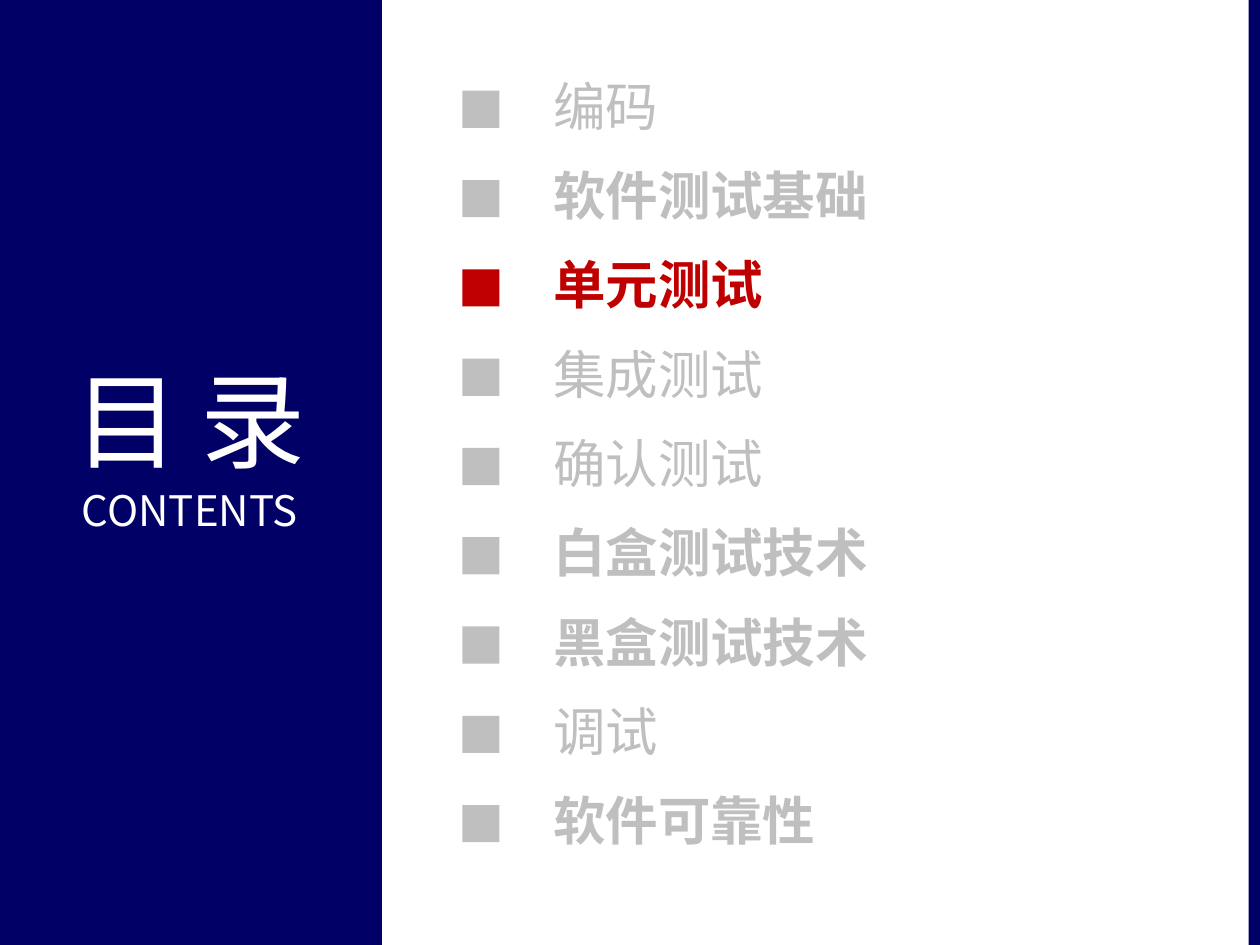
from pptx import Presentation
from pptx.dml.color import RGBColor
from pptx.enum.shapes import MSO_SHAPE
from pptx.enum.text import MSO_ANCHOR, PP_ALIGN
from pptx.oxml.ns import qn
from pptx.util import Cm, Pt

NAVY = RGBColor(0x00, 0x00, 0x66)
WHITE = RGBColor(0xFF, 0xFF, 0xFF)
GREY = RGBColor(0xBF, 0xBF, 0xBF)
RED = RGBColor(0xC0, 0x00, 0x00)
FONT = "Noto Sans CJK SC"

TOPICS = [
    ("编码", False),
    ("软件测试基础", True),
    ("单元测试", True),
    ("集成测试", False),
    ("确认测试", False),
    ("白盒测试技术", True),
    ("黑盒测试技术", True),
    ("调试", False),
    ("软件可靠性", True),
]
CURRENT_TOPIC = "单元测试"
ROW_PITCH = 1.8

presentation = Presentation()
presentation.slide_width = Cm(25.4)
presentation.slide_height = Cm(19.05)
slide = presentation.slides.add_slide(presentation.slide_layouts[6])


def add_rectangle(left, top, width, height, color):
    shape = slide.shapes.add_shape(
        MSO_SHAPE.RECTANGLE, Cm(left), Cm(top), Cm(width), Cm(height))
    shape.shadow.inherit = False
    shape.fill.solid()
    shape.fill.fore_color.rgb = color
    shape.line.fill.background()


def add_run(paragraph, text, size, color, bold=False):
    """Add a run that uses FONT for Latin and Chinese characters alike."""
    run = paragraph.add_run()
    run.text = text
    run.font.size = Pt(size)
    run.font.bold = bold
    run.font.color.rgb = color
    run.font.name = FONT
    properties = run.font._element
    east_asian = properties.makeelement(qn("a:ea"), {"typeface": FONT})
    properties.find(qn("a:latin")).addnext(east_asian)
    return run


# Side panels
add_rectangle(-0.05, 0, 7.75, 19.05, NAVY)
add_rectangle(25.17, 0, 0.23, 19.05, NAVY)

# Heading
heading = slide.shapes.add_textbox(Cm(-0.05), Cm(7.16), Cm(7.75), Cm(4.37))
frame = heading.text_frame
frame.word_wrap = True
frame.margin_top = frame.margin_bottom = 0
title = frame.paragraphs[0]
title.alignment = PP_ALIGN.CENTER
title_run = add_run(title, "目录", 60, WHITE)
title_run.font._element.set("spc", "1200")
subtitle = frame.add_paragraph()
subtitle.alignment = PP_ALIGN.CENTER
subtitle.space_before = Pt(2)
add_run(subtitle, "CONTENTS", 24, WHITE)

# Topic list
for row, (topic, bold) in enumerate(TOPICS):
    offset = row * ROW_PITCH
    color = RED if topic == CURRENT_TOPIC else GREY
    add_rectangle(9.32, 1.83 + offset, 0.75, 0.75, color)
    label = slide.shapes.add_textbox(Cm(10.9), Cm(1.35 + offset), Cm(9.8), Cm(1.55))
    frame = label.text_frame
    frame.word_wrap = True
    frame.margin_top = frame.margin_bottom = 0
    frame.vertical_anchor = MSO_ANCHOR.MIDDLE
    add_run(frame.paragraphs[0], topic, 30, color, bold)

presentation.save("out.pptx")
